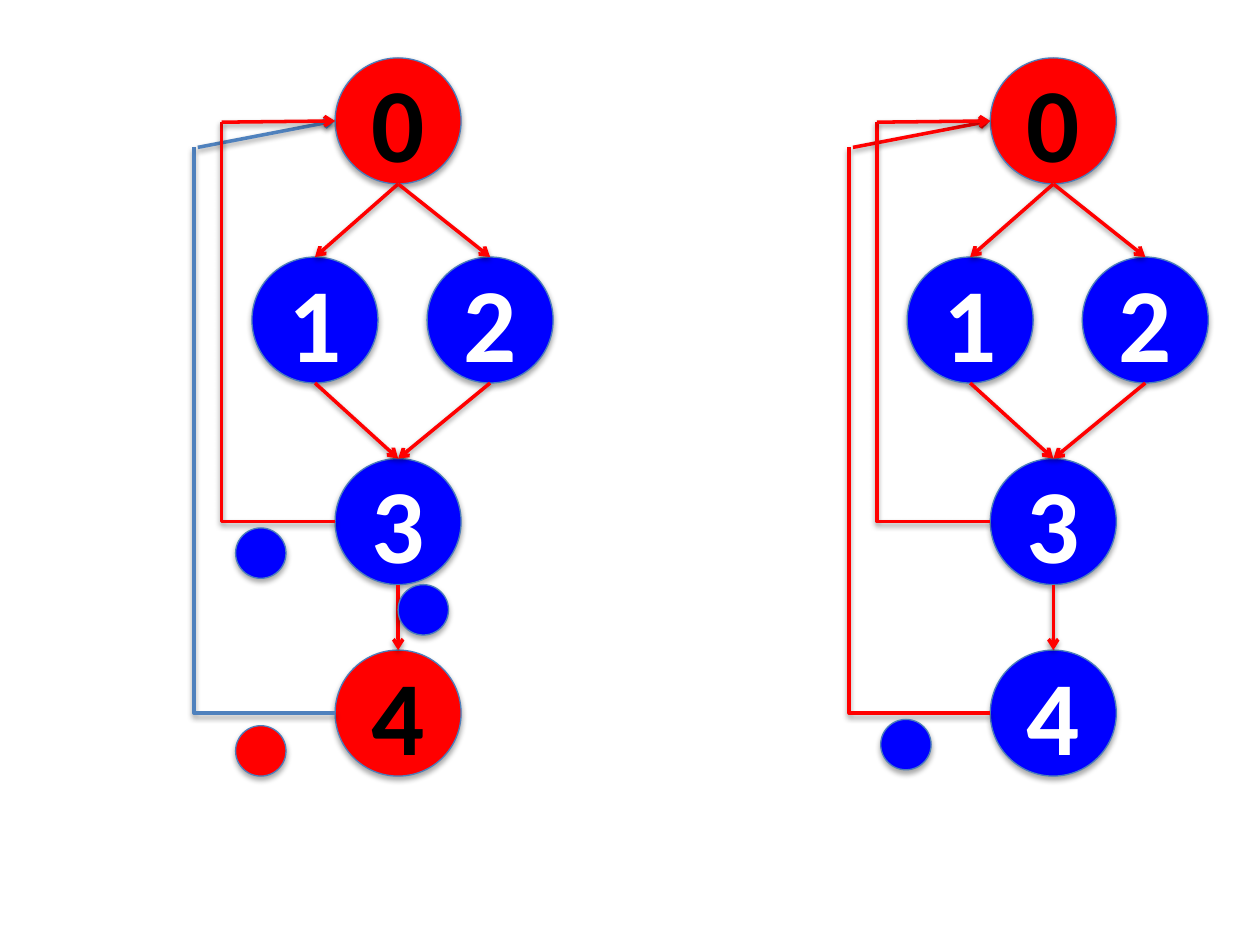
from pptx import Presentation
from pptx.dml.color import RGBColor
from pptx.enum.shapes import MSO_CONNECTOR, MSO_SHAPE
from pptx.enum.text import MSO_ANCHOR, PP_ALIGN
from pptx.oxml.ns import qn
from pptx.util import Inches, Pt
from lxml import etree

OVAL = MSO_SHAPE.OVAL
STRAIGHT, ELBOW = MSO_CONNECTOR.STRAIGHT, MSO_CONNECTOR.ELBOW
MIDDLE, CENTER = MSO_ANCHOR.MIDDLE, PP_ALIGN.CENTER
COLORS = {"red": "FF0000", "blue": "0000FF", "steel": "4F81BD",
          "outline": "4B7EBC", "black": "000000", "white": "FFFFFF"}
RGB = {name: RGBColor.from_string(value) for name, value in COLORS.items()}

prs = Presentation()
prs.slide_width, prs.slide_height = Inches(10), Inches(7.5)
s = prs.slides.add_slide(prs.slide_layouts[6])


def add_circle(x, y, size, color, label=""):
    sp = s.shapes.add_shape(OVAL, Inches(x), Inches(y), Inches(size), Inches(size))
    sp.fill.solid()
    sp.fill.fore_color.rgb = RGB[color]
    sp.line.color.rgb = RGB["outline"]
    sp.line.width = Pt(0.75)
    if label:
        tf = sp.text_frame
        tf.vertical_anchor = MIDDLE
        p = tf.paragraphs[0]
        p.text = label
        p.alignment = CENTER
        p.font.name, p.font.size, p.font.bold = "Calibri", Pt(60), True
        p.font.color.rgb = RGB["black" if color == "red" else "white"]


def add_line(start, end, color, bent=False):
    kind = ELBOW if bent else STRAIGHT
    c = s.shapes.add_connector(kind, *[Inches(v) for v in (*start, *end)])
    c.line.color.rgb = RGB[color]
    c.line.width = Pt(2)
    if bent:
        c._element.spPr.find(qn("a:prstGeom")).set("prst", "bentConnector2")
    else:
        etree.SubElement(c.line._get_or_add_ln(), qn("a:tailEnd"), type="arrow")


NODES = {"0": (2.66, 0.46), "1": (2, 2.04), "2": (3.39, 2.04),
         "3": (2.66, 3.64), "4": (2.66, 5.16)}
EDGES = ["01", "02", "13", "23", "34"]
GRAPHS = [
    (0, "04", "steel", [(1.87, 4.19, "blue"), (3.16, 4.64, "blue"), (1.87, 5.76, "red")]),
    (5.2, "0", "red", [(1.79, 5.71, "blue")]),
]

for dx, red_nodes, outer_color, dots in GRAPHS:
    for label, (x, y) in NODES.items():
        add_circle(x + dx, y, 1, "red" if label in red_nodes else "blue", label)
    for a, b in EDGES:
        (ax, ay), (bx, by) = NODES[a], NODES[b]
        add_line((ax + dx + 0.5, ay + 1), (bx + dx + 0.5, by), "red")

    left, top = NODES["0"][0] + dx, NODES["0"][1] + 0.5
    loops = [("4", 1.54, 1.17, 0.03, outer_color), ("3", 1.76, 0.97, 0, "red")]
    for source, x, y, gap, color in loops:
        add_line((left, NODES[source][1] + 0.5), (x + dx, y), color, bent=True)
        add_line((x + dx + gap, y), (left, top), color)

    for x, y, color in dots:
        add_circle(x + dx, y, 0.4, color)

prs.save("out.pptx")
